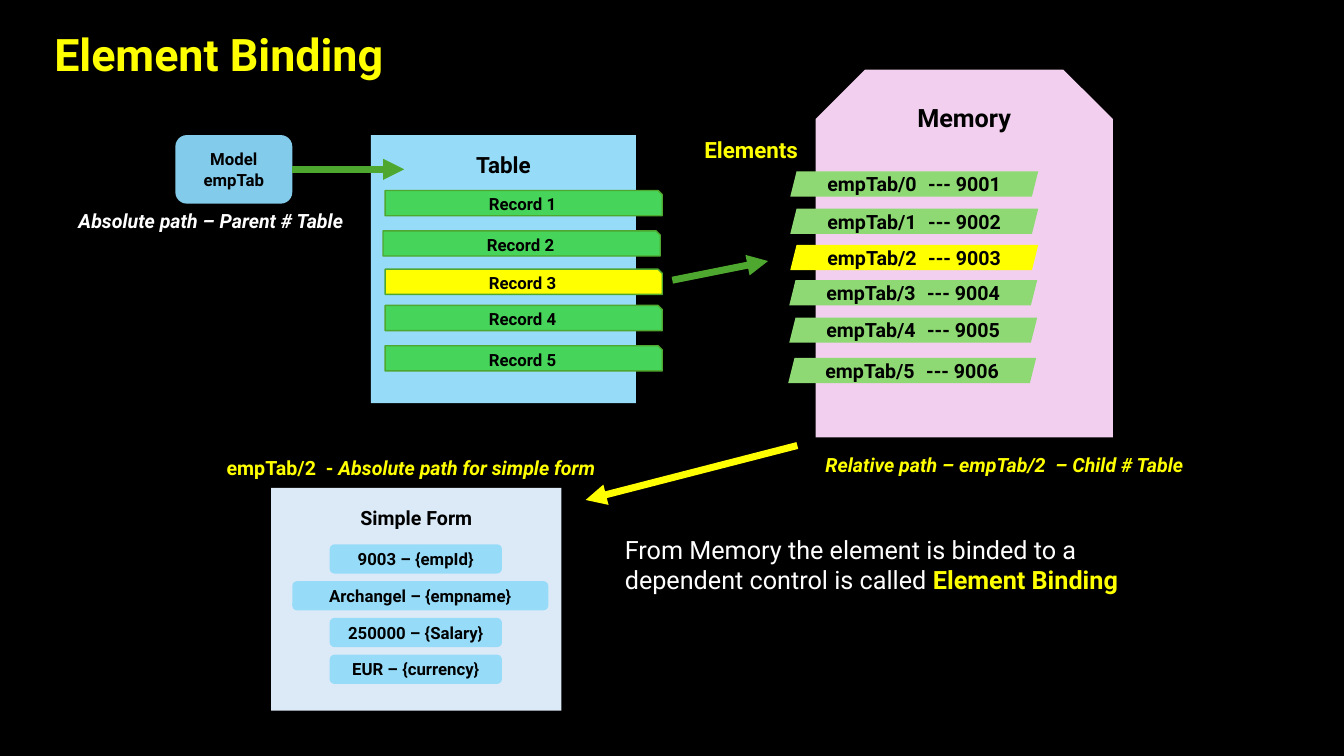
from dataclasses import dataclass

from lxml import etree
from pptx import Presentation
from pptx.dml.color import RGBColor
from pptx.enum.shapes import MSO_CONNECTOR as Connector, MSO_SHAPE as Shape
from pptx.enum.text import MSO_ANCHOR as Anchor, MSO_AUTO_SIZE as AutoSize, PP_ALIGN as Align
from pptx.oxml.ns import qn
from pptx.util import Inches, Pt

CELL = 0.1  # inches per grid column and row
COLUMNS, ROWS = 133.33, 75


@dataclass(frozen=True)
class Theme:
    font: str = "Roboto"
    background: str = "000000"
    ink: str = "000000"
    white: str = "FFFFFF"
    accent: str = "FFFF00"
    model: str = "83CBEB"
    panel: str = "96DCF8"
    form: str = "DCEAF7"
    memory: str = "F2CFEE"
    record: str = "47D45A"
    element: str = "8ED973"
    arrow: str = "4EA72E"
    title: int = 32
    large: int = 18
    heading: int = 16
    label: int = 14
    small: int = 12
    arrow_width: int = 5
    outline_width: int = 1


THEME = Theme()


@dataclass(frozen=True)
class Box:
    """A rectangle in grid columns and rows."""
    left: float
    top: float
    width: float
    height: float

    def place(self, column, row, width, height):
        """Return a box offset from this one's top left corner."""
        return Box(self.left + column, self.top + row, width, height)

    def emu(self):
        return [grid(value) for value in (self.left, self.top, self.width, self.height)]


def grid(cells):
    return Inches(cells * CELL)


def color(value):
    return RGBColor.from_string(value)


def add_run(paragraph, text, size, ink, bold=True, italic=False):
    run = paragraph.add_run()
    run.text = text
    font = run.font
    font.name, font.size, font.bold, font.italic = THEME.font, Pt(size), bold, italic
    font.color.rgb = color(ink)


def add_text(slide, box):
    """Add a text box and return its first paragraph."""
    frame = slide.shapes.add_textbox(*box.emu()).text_frame
    frame.word_wrap = True
    frame.auto_size = AutoSize.SHAPE_TO_FIT_TEXT
    return frame.paragraphs[0]


def add_block(slide, kind, box, fill, lines, size, outline=None, heading_gap=None):
    """Add a filled shape; heading_gap puts its text that many rows below the top."""
    shape = slide.shapes.add_shape(kind, *box.emu())
    shape.shadow.inherit = False
    shape.fill.solid()
    shape.fill.fore_color.rgb = color(fill)
    if outline:
        shape.line.color.rgb = color(outline)
        shape.line.width = Pt(THEME.outline_width)
    else:
        shape.line.fill.background()
    frame = shape.text_frame
    frame.word_wrap = True
    frame.margin_top = frame.margin_bottom = 0
    frame.vertical_anchor = Anchor.MIDDLE
    if heading_gap is not None:
        frame.vertical_anchor = Anchor.TOP
        frame.margin_top = grid(heading_gap)
    for index, line in enumerate(lines):
        paragraph = frame.add_paragraph() if index else frame.paragraphs[0]
        paragraph.alignment = Align.CENTER
        add_run(paragraph, line, size, THEME.ink)
    return shape


def add_arrow(slide, start, end, ink):
    points = [grid(value) for value in (*start, *end)]
    arrow = slide.shapes.add_connector(Connector.STRAIGHT, *points)
    arrow.line.color.rgb = color(ink)
    arrow.line.width = Pt(THEME.arrow_width)
    properties = arrow.element.spPr
    etree.SubElement(properties.find(qn("a:ln")), qn("a:tailEnd"), type="triangle")
    etree.SubElement(properties, qn("a:effectLst"))
    return arrow


def add_model(slide, box):
    model = add_block(slide, Shape.ROUNDED_RECTANGLE, box, THEME.model,
                      ["Model", "empTab"], THEME.small)
    caption = add_text(slide, box.place(-10.6, 6.8, 29.1, 3.4))
    add_run(caption, "Absolute path – Parent # Table", THEME.label, THEME.white, italic=True)
    return model


def add_record_table(slide, box):
    add_block(slide, Shape.RECTANGLE, box, THEME.panel, ["Table"], THEME.heading,
              heading_gap=1.6)
    places = [(1.4, 5.5), (1.2, 9.5), (1.4, 13.3), (1.4, 16.9), (1.4, 20.9)]
    for number, (column, row) in enumerate(places, 1):
        fill = THEME.accent if number == 3 else THEME.record
        add_block(slide, Shape.SNIP_1_RECTANGLE, box.place(column, row, 27.5, 2.5), fill,
                  [f"Record {number}"], THEME.small, outline=THEME.arrow)


def add_memory(slide, box):
    add_block(slide, Shape.SNIP_2_SAME_RECTANGLE, box, THEME.memory, ["Memory"],
              THEME.large, heading_gap=0.8)
    places = [(-2.5, 10.1), (-2.5, 13.8), (-2.5, 17.4),
              (-2.6, 20.9), (-2.6, 24.6), (-2.7, 28.6)]
    for index, (column, row) in enumerate(places):
        fill = THEME.accent if index == 2 else THEME.element
        add_block(slide, Shape.PARALLELOGRAM, box.place(column, row, 24.6, 2.5), fill,
                  [f"empTab/{index}\t--- {9001 + index}"], THEME.label)
    elements = add_text(slide, box.place(-12, 6.1, 17.2, 3.7))
    add_run(elements, "Elements", THEME.heading, THEME.accent)
    caption = add_text(slide, box.place(0, 37.5, 39.1, 3.4))
    add_run(caption, "Relative path – empTab/2  – Child # Table", THEME.label,
            THEME.accent, italic=True)


def add_simple_form(slide, box):
    caption = add_text(slide, box.place(-5.4, -3.7, 39.5, 3.4))
    add_run(caption, "empTab/2  - ", THEME.label, THEME.accent)
    add_run(caption, "Absolute path for simple form", THEME.label, THEME.accent, italic=True)
    add_block(slide, Shape.RECTANGLE, box, THEME.form, ["Simple Form"], THEME.label,
              heading_gap=1.8)
    fields = [("9003 – {empId}", 5.8, 17.1), ("Archangel – {empname}", 2.1, 25.4),
              ("250000 – {Salary}", 5.8, 17.1), ("EUR – {currency}", 5.8, 17.1)]
    for index, (text, column, width) in enumerate(fields):
        add_block(slide, Shape.ROUNDED_RECTANGLE,
                  box.place(column, 5.6 + 3.65 * index, width, 2.9),
                  THEME.panel, [text], THEME.small)


def add_summary(slide, box):
    paragraph = add_text(slide, box)
    add_run(paragraph, "From Memory the element is binded to a dependent control is called ",
            THEME.large, THEME.white, bold=False)
    add_run(paragraph, "Element Binding", THEME.large, THEME.accent)


def add_binding_slide(presentation):
    slide = presentation.slides.add_slide(presentation.slide_layouts[6])
    slide.background.fill.solid()
    slide.background.fill.fore_color.rgb = color(THEME.background)
    title = add_text(slide, Box(4.4, 2.2, 47.7, 6.4))
    add_run(title, "Element Binding", THEME.title, THEME.accent)
    add_simple_form(slide, Box(26.9, 48.4, 28.8, 22.1))
    model = add_model(slide, Box(17.4, 13.4, 11.6, 6.8))
    add_record_table(slide, Box(36.8, 13.4, 26.3, 26.6))
    add_memory(slide, Box(80.9, 6.9, 29.5, 36.5))
    model_arrow = add_arrow(slide, (29, 16.8), (40.1, 16.8), THEME.arrow)
    model_arrow.begin_connect(model, 3)
    add_arrow(slide, (66.7, 27.8), (76.2, 25.9), THEME.arrow)
    add_arrow(slide, (79.1, 44.2), (58.1, 49.6), THEME.accent)
    add_summary(slide, Box(61, 52.5, 51.1, 7.1))


def main():
    presentation = Presentation()
    presentation.slide_width, presentation.slide_height = grid(COLUMNS), grid(ROWS)
    add_binding_slide(presentation)
    presentation.save("out.pptx")


if __name__ == "__main__":
    main()
